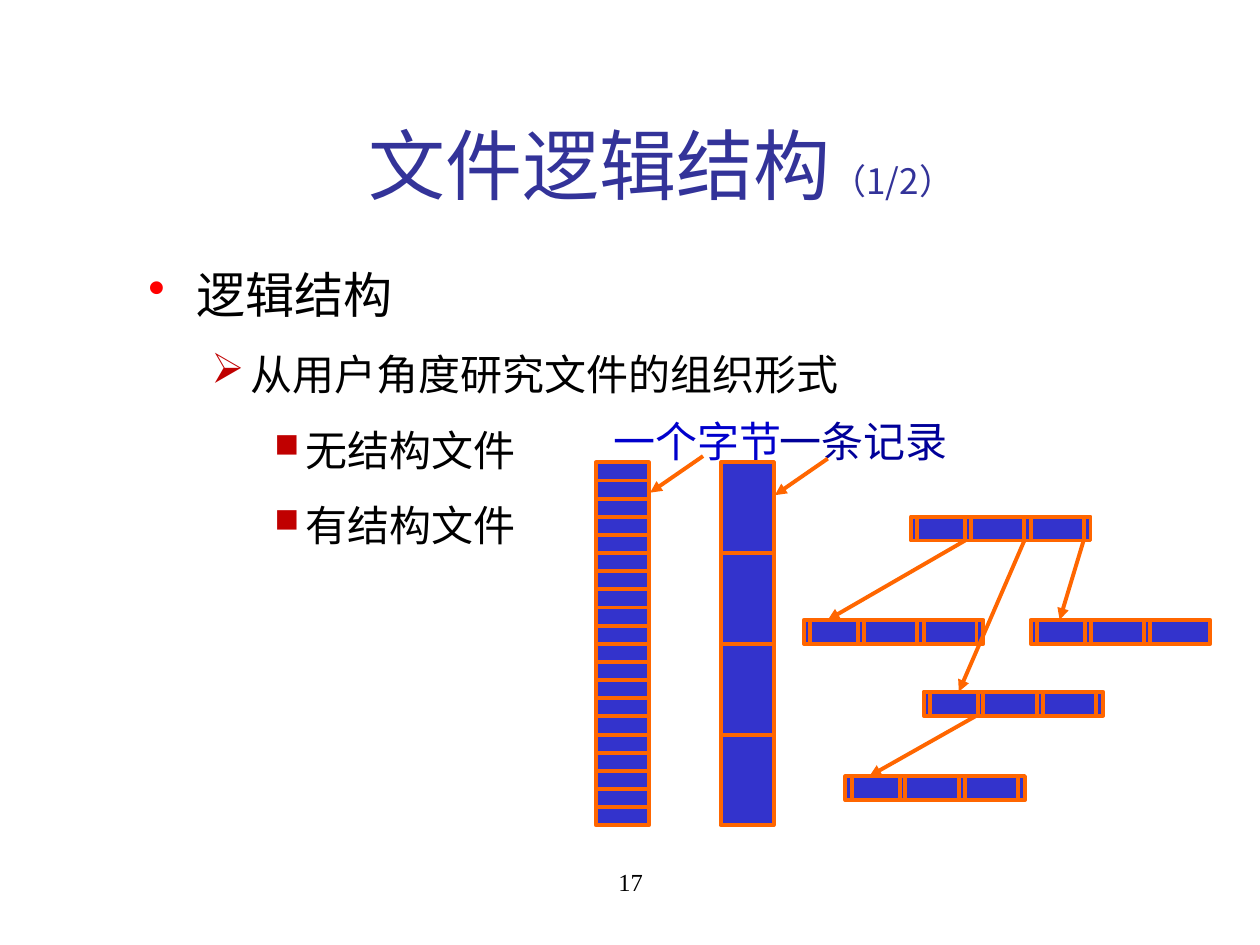
from dataclasses import dataclass

from lxml import etree
from pptx import Presentation
from pptx.dml.color import RGBColor
from pptx.enum.shapes import MSO_CONNECTOR, MSO_SHAPE
from pptx.enum.text import MSO_ANCHOR, PP_ALIGN
from pptx.oxml.ns import qn
from pptx.util import Inches, Pt

LINE = MSO_CONNECTOR.STRAIGHT
RECT = MSO_SHAPE.RECTANGLE
MIDDLE = MSO_ANCHOR.MIDDLE
CENTER = PP_ALIGN.CENTER

COLORS = {
    "title": "333399", "text": "000000", "dot": "FF0000", "mark": "C00000",
    "fill": "3333CC", "edge": "FF6600", "byte": "0000CC", "record": "000099",
}
SANS, SERIF = "Noto Sans CJK SC", "Times New Roman"


@dataclass
class Item:
    text: str
    level: int
    size: int
    bullet: str
    color: str
    left: float
    hang: float
    scale: int = 100


@dataclass
class Node:
    x: float
    y: float
    bars: tuple = (0.05, 0.43, 0.9, 1.37)


@dataclass
class Arrow:
    x1: float
    y1: float
    x2: float
    y2: float


ITEMS = [
    Item("逻辑结构", 0, 28, "•", "dot", 0.38, 0.38),
    Item("从用户角度研究文件的组织形式", 1, 24, "➢", "mark", 0.81, 0.31),
    Item("无结构文件", 2, 24, "■", "mark", 1.25, 0.25, 80),
    Item("有结构文件", 2, 24, "■", "mark", 1.25, 0.25, 80),
]
NODES = [
    Node(7.23, 4.1),
    Node(6.38, 4.92),
    Node(8.18, 4.92, (0.05, 0.43, 0.9)),
    Node(7.33, 5.49),
    Node(6.71, 6.16),
]
ARROWS = [
    Arrow(5.58, 3.62, 5.16, 3.91),
    Arrow(6.57, 3.64, 6.15, 3.93),
    Arrow(7.66, 4.29, 6.57, 4.92),
    Arrow(8.13, 4.29, 7.61, 5.49),
    Arrow(8.6, 4.29, 8.41, 4.92),
    Arrow(7.75, 5.68, 6.9, 6.16),
]
BYTES, RECORDS = 4.73, 5.72
TOP, WIDTH, HEIGHT = 3.67, 0.42, 0.72
BLOCKS, SLOTS = 4, 5
CELL, DEPTH = 0.475, 0.19


def rgb(name: str) -> RGBColor:
    return RGBColor.from_string(COLORS[name])


def style(run, size: int, color: str, face: str) -> None:
    run.font.size = Pt(size)
    run.font.color.rgb = rgb(color)
    run.font.name = face
    east = etree.SubElement(run.font._element, qn("a:ea"))
    east.set("typeface", SANS)


def add_box(slide, x: float, y: float, w: float, h: float, wrap: bool = True):
    box = slide.shapes.add_textbox(Inches(x), Inches(y), Inches(w), Inches(h))
    box.text_frame.word_wrap = wrap
    return box.text_frame


def add_label(slide, text: str, x: float, color: str) -> None:
    frame = add_box(slide, x, 3.25, 1.53, 0.5, wrap=False)
    frame.vertical_anchor = MIDDLE
    frame.text = text
    style(frame.paragraphs[0].runs[0], 24, color, SERIF)


def add_title(slide) -> None:
    frame = add_box(slide, 1, 0.67, 8.5, 1.25)
    frame.vertical_anchor = MIDDLE
    para = frame.paragraphs[0]
    para.alignment = CENTER
    for text, size in (("文件逻辑结构", 44), ("（1/2）", 20)):
        run = para.add_run()
        run.text = text
        style(run, size, "title", SANS)


def set_bullet(para, item: Item) -> None:
    props = para._p.get_or_add_pPr()
    props.set("marL", str(Inches(item.left)))
    props.set("indent", str(-Inches(item.hang)))
    tint = etree.SubElement(props, qn("a:buClr"))
    etree.SubElement(tint, qn("a:srgbClr")).set("val", COLORS[item.color])
    etree.SubElement(props, qn("a:buSzPct")).set("val", str(item.scale * 1000))
    etree.SubElement(props, qn("a:buChar")).set("char", item.bullet)


def add_body(slide) -> None:
    frame = add_box(slide, 1.08, 2.05, 8.55, 4.27)
    frame.text = "\n".join(item.text for item in ITEMS)
    for para, item in zip(frame.paragraphs, ITEMS):
        para.level = item.level
        if item.level:
            para.line_spacing = 1.5
        else:
            para.space_before = Pt(7)
        set_bullet(para, item)
        style(para.runs[0], item.size, "text", SANS)


def add_number(slide) -> None:
    frame = add_box(slide, 3.42, 6.83, 3.17, 0.5)
    frame.text = "17"
    frame.paragraphs[0].alignment = CENTER
    style(frame.paragraphs[0].runs[0], 14, "text", SERIF)


def add_rect(slide, x: float, y: float, w: float, h: float) -> None:
    rect = slide.shapes.add_shape(RECT, Inches(x), Inches(y), Inches(w), Inches(h))
    rect.shadow.inherit = False
    rect.fill.solid()
    rect.fill.fore_color.rgb = rgb("fill")
    rect.line.color.rgb = rgb("edge")
    rect.line.width = Pt(2.25)


def add_line(slide, x1: float, y1: float, x2: float, y2: float, head: bool = False) -> None:
    line = slide.shapes.add_connector(LINE, Inches(x1), Inches(y1), Inches(x2), Inches(y2))
    line.line.color.rgb = rgb("edge")
    line.line.width = Pt(2.25)
    if head:
        etree.SubElement(line.line._get_or_add_ln(), qn("a:tailEnd")).set("type", "triangle")
    etree.SubElement(line._element.spPr, qn("a:effectLst"))


def add_stack(slide, x: float, slots: int = 1) -> None:
    """Pile up the blocks, each cut into the given number of slots."""
    for block in range(BLOCKS):
        y = TOP + block * HEIGHT
        add_rect(slide, x, y, WIDTH, HEIGHT)
        for slot in range(1, slots):
            cut = y + slot * HEIGHT / slots
            add_line(slide, x, cut, x + WIDTH, cut)


def add_node(slide, node: Node) -> None:
    for col in range(3):
        add_rect(slide, node.x + col * CELL, node.y, CELL, DEPTH)
    for bar in node.bars:
        add_line(slide, node.x + bar, node.y, node.x + bar, node.y + DEPTH)


def main() -> None:
    deck = Presentation()
    deck.slide_width, deck.slide_height = Inches(10), Inches(7.5)
    slide = deck.slides.add_slide(deck.slide_layouts[6])
    add_number(slide)
    add_body(slide)
    add_title(slide)
    add_label(slide, "一条记录", 6.09, "record")
    add_label(slide, "一个字节", 4.77, "byte")
    add_stack(slide, BYTES, SLOTS)
    add_stack(slide, RECORDS)
    for node in NODES:
        add_node(slide, node)
    for arrow in ARROWS:
        add_line(slide, arrow.x1, arrow.y1, arrow.x2, arrow.y2, head=True)
    deck.save("out.pptx")


if __name__ == "__main__":
    main()
